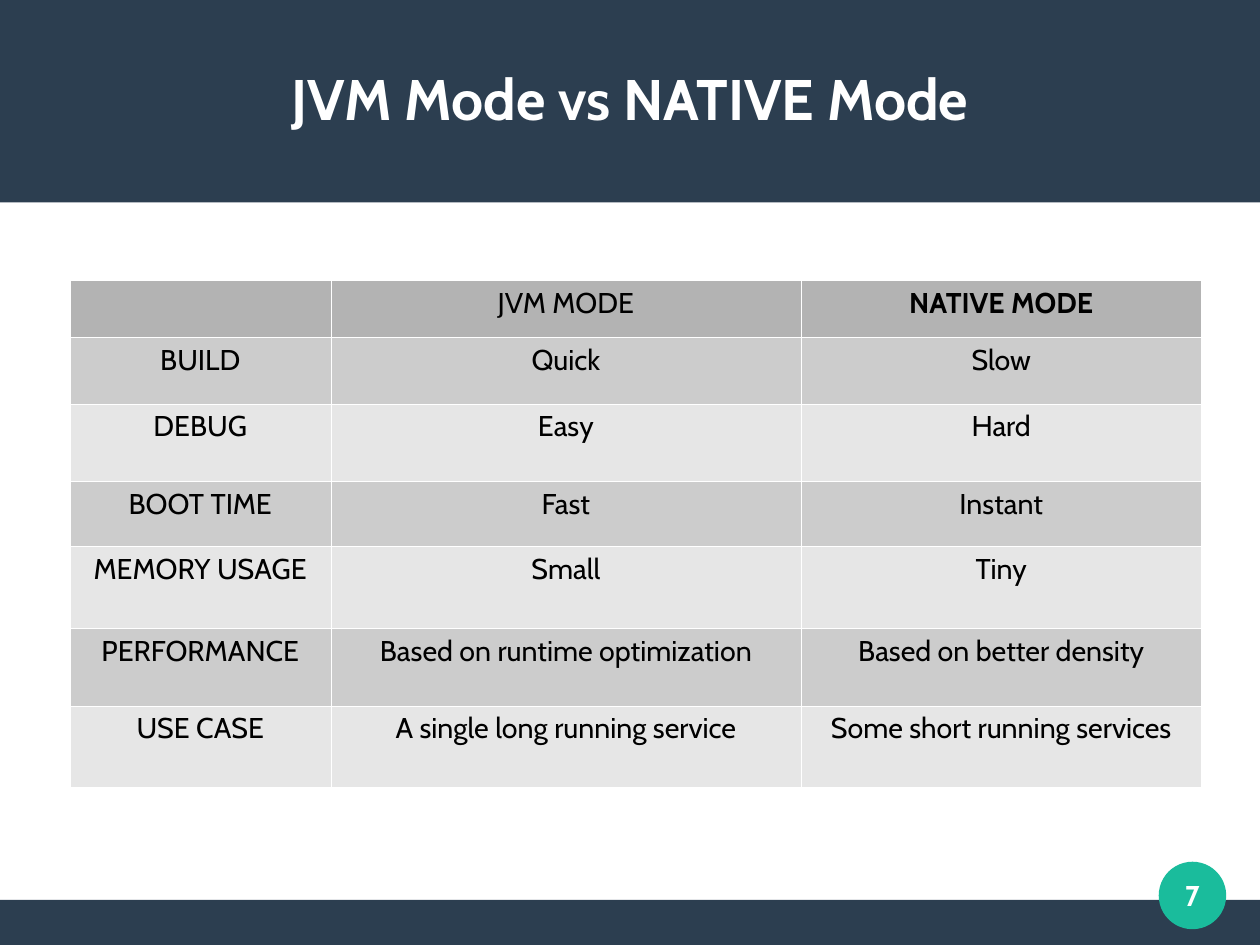
from dataclasses import dataclass

from pptx import Presentation
from pptx.dml.color import RGBColor
from pptx.enum import shapes, text
from pptx.oxml import ns, xmlchemy
from pptx.util import Cm, Pt


@dataclass(frozen=True)
class Theme:
    font: str = "Cabin"
    navy: str = "2C3E50"
    green: str = "1ABC9C"
    white: str = "FFFFFF"
    black: str = "000000"
    head: str = "B3B3B3"
    bands: tuple = ("CCCCCC", "E6E6E6")
    large: int = 36
    small: int = 18
    rule: float = 0.06


THEME = Theme()
WIDTH, HEIGHT = 28, 21
COLS = (5.8, 10.45, 8.9)
ROWS = (
    (1.27, "", "JVM MODE", "NATIVE MODE"),
    (1.47, "BUILD", "Quick", "Slow"),
    (1.73, "DEBUG", "Easy", "Hard"),
    (1.44, "BOOT TIME", "Fast", "Instant"),
    (1.81, "MEMORY USAGE", "Small", "Tiny"),
    (1.73, "PERFORMANCE", "Based on runtime optimization",
     "Based on better density"),
    (1.81, "USE CASE", "A single long running service",
     "Some short running services"),
)


def paint(fill, color):
    fill.solid()
    fill.fore_color.rgb = RGBColor.from_string(color)


def write(frame, words, size=THEME.small, color=THEME.black, bold=False):
    """Put one centred line of formatted text into a text frame."""
    para = frame.paragraphs[0]
    para.alignment = text.PP_ALIGN.CENTER
    run = para.add_run()
    run.text = words
    run.font.name = THEME.font
    run.font.size = Pt(size)
    run.font.bold = bold
    run.font.color.rgb = RGBColor.from_string(color)


def center(frame):
    """Drop the insets and centre the text vertically."""
    frame.margin_left = frame.margin_right = 0
    frame.margin_top = frame.margin_bottom = 0
    frame.vertical_anchor = text.MSO_ANCHOR.MIDDLE


def add_block(slide, kind, box, color):
    shape = slide.shapes.add_shape(kind, *map(Cm, box))
    shape.shadow.inherit = False
    paint(shape.fill, color)
    shape.line.fill.background()
    return shape


def add_title(slide, words):
    title = slide.shapes.title
    title.left, title.top = Cm(1), Cm(0.84)
    title.width, title.height = Cm(WIDTH - 2), Cm(2.67)
    center(title.text_frame)
    write(title.text_frame, words, size=THEME.large, color=THEME.white, bold=True)
    slide.shapes.element.append(title.element)  # in front of the bars


def add_badge(slide, number):
    badge = add_block(slide, shapes.MSO_SHAPE.OVAL, (25.75, 19.15, 1.5, 1.5),
                      THEME.green)
    center(badge.text_frame)
    badge.text_frame.word_wrap = False
    write(badge.text_frame, number, color=THEME.white, bold=True)


def edge(cell, color):
    """Draw a thin line on all four sides of a cell."""
    props = cell._tc.get_or_add_tcPr()
    for spot, side in enumerate(("lnL", "lnR", "lnT", "lnB")):
        line = xmlchemy.OxmlElement(f"a:{side}")
        line.set("w", str(Pt(THEME.rule)))
        fill = line.makeelement(ns.qn("a:solidFill"))
        tint = line.makeelement(ns.qn("a:srgbClr"), {"val": color})
        fill.append(tint)
        line.append(fill)
        props.insert(spot, line)


def add_grid(slide):
    heights = [row[0] for row in ROWS]
    frame = slide.shapes.add_table(len(ROWS), len(COLS), Cm(1.55), Cm(6.23),
                                   Cm(sum(COLS)), Cm(sum(heights)))
    table = frame.table
    table.first_row = table.horz_banding = False
    for col, width in zip(table.columns, COLS):
        col.width = Cm(width)
    for r, (height, *words) in enumerate(ROWS):
        table.rows[r].height = Cm(height)
        color = THEME.bands[(r - 1) % 2] if r else THEME.head
        for c, word in enumerate(words):
            cell = table.cell(r, c)
            paint(cell.fill, color)
            edge(cell, THEME.white)
            if word:
                write(cell.text_frame, word, bold=word == "NATIVE MODE")


def main():
    deck = Presentation()
    deck.slide_width, deck.slide_height = Cm(WIDTH), Cm(HEIGHT)
    slide = deck.slides.add_slide(deck.slide_layouts[5])
    paint(slide.background.fill, THEME.white)
    for top, height in ((HEIGHT - 1, 1), (0, 4.5)):
        add_block(slide, shapes.MSO_SHAPE.RECTANGLE, (0, top, WIDTH, height),
                  THEME.navy)
    add_title(slide, "JVM Mode vs NATIVE Mode")
    add_grid(slide)
    add_badge(slide, "7")
    deck.save("out.pptx")


if __name__ == "__main__":
    main()
